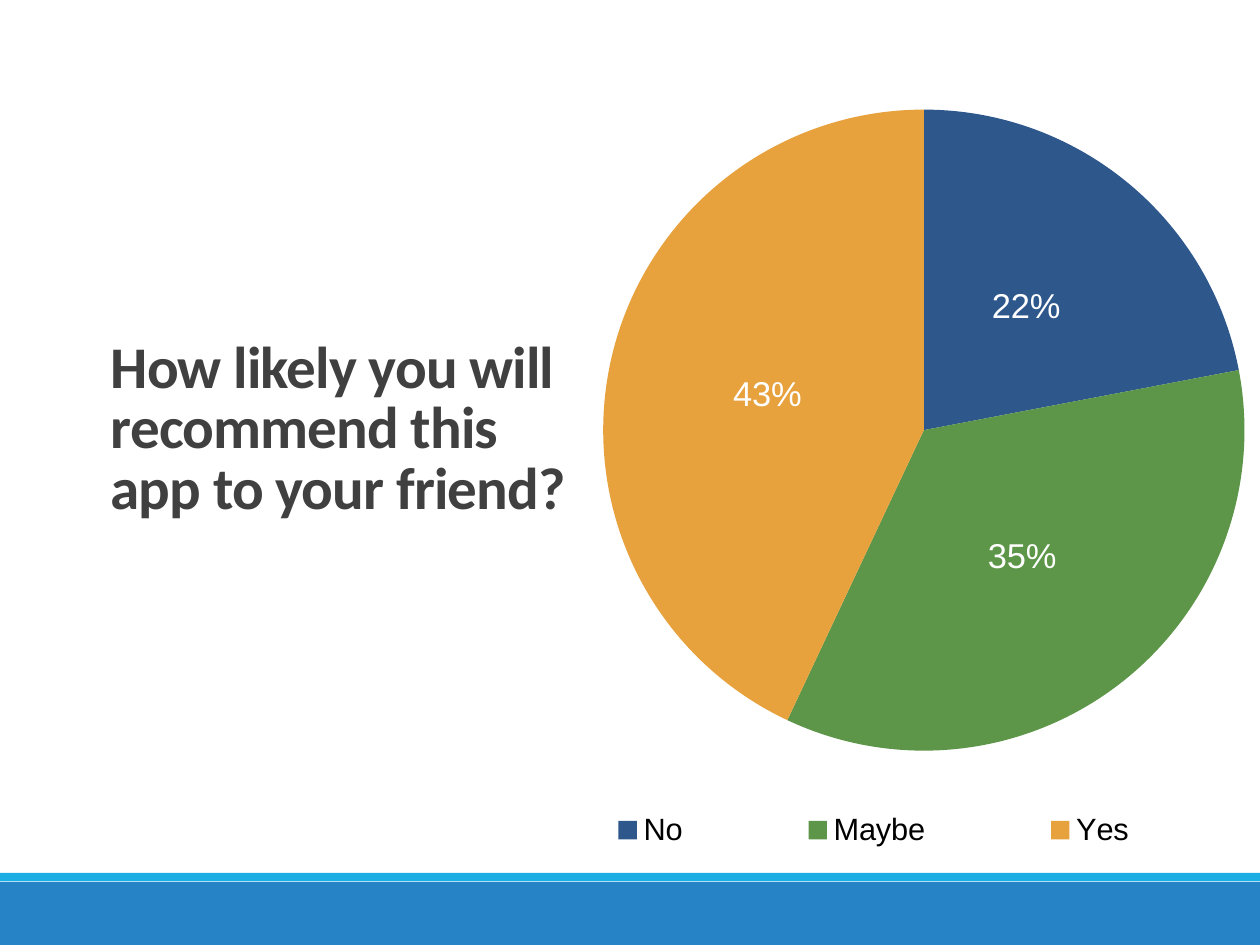
from dataclasses import dataclass

from lxml import etree
from pptx import Presentation
from pptx import util as u
from pptx.chart import data as chart_data
from pptx.dml.color import RGBColor
from pptx.enum import chart as ch
from pptx.enum import shapes, text
from pptx.oxml import ns


@dataclass(frozen=True)
class Theme:
    title: str = "404040"
    legend: str = "000000"
    label: str = "FFFFFF"
    footer: str = "2683C6"
    stripe: str = "1CADE4"
    slices: tuple = ("2E578C", "5D9648", "E7A13D")
    title_font: str = "Calibri"
    chart_font: str = "Arial"
    title_size: int = 48
    label_size: int = 28
    legend_size: int = 25


THEME = Theme()
ANSWERS = {"No": 22, "Maybe": 35, "Yes": 43}


def set_font(font, name, size, color, bold=False):
    font.name, font.size, font.bold = name, u.Pt(size), bold
    font.color.rgb = RGBColor.from_string(color)


def add_band(s, top, width, height, color):
    sp = s.shapes.add_shape(shapes.MSO_SHAPE.RECTANGLE, 0, top, width, height)
    sp.shadow.inherit = False
    sp.fill.solid()
    sp.fill.fore_color.rgb = RGBColor.from_string(color)
    sp.line.fill.background()


def set_title(s, wording):
    sp = s.shapes.title
    sp.left, sp.top, sp.width, sp.height = map(u.Cm, (2.92, 5.82, 13.69, 9.25))
    tf = sp.text_frame
    tf.text = wording
    tf.word_wrap = True
    tf.auto_size = text.MSO_AUTO_SIZE.NONE
    tf.vertical_anchor = text.MSO_ANCHOR.BOTTOM
    p = tf.paragraphs[0]
    p.alignment = text.PP_ALIGN.LEFT
    p.line_spacing = 0.85
    set_font(p.font, THEME.title_font, THEME.title_size, THEME.title, True)
    p.runs[0].font._element.set("spc", "-70")


def set_layout(parent, position, x, y, w, h, inner=False):
    """Place a chart part by fractions of the chart area."""
    for old in parent.findall(ns.qn("c:layout")):
        parent.remove(old)
    layout = etree.Element(ns.qn("c:layout"))
    manual = etree.SubElement(layout, ns.qn("c:manualLayout"))
    values = {"xMode": "edge", "yMode": "edge", "x": x, "y": y, "w": w, "h": h}
    if inner:
        values = {"layoutTarget": "inner", **values}
    for tag, value in values.items():
        etree.SubElement(manual, ns.qn(f"c:{tag}")).set("val", str(value))
    parent.insert(position, layout)


def add_pie(s, answers):
    data = chart_data.CategoryChartData()
    data.categories = list(answers)
    data.add_series("Series 1", answers.values())
    chart = s.shapes.add_chart(
        ch.XL_CHART_TYPE.PIE, *map(u.Cm, (13.97, 3.02, 22.15, 21.54)), data
    ).chart
    chart.has_title = False

    # Slices and percentages
    plot = chart.plots[0]
    plot.vary_by_categories = True
    for i, color in enumerate(THEME.slices):
        fill = plot.series[0].points[i].format.fill
        fill.solid()
        fill.fore_color.rgb = RGBColor.from_string(color)
    plot.has_data_labels = True
    labels = plot.data_labels
    labels.show_percentage, labels.show_value = True, False
    labels.number_format, labels.number_format_is_linked = "#,##0%", False
    labels.position = ch.XL_LABEL_POSITION.CENTER
    set_font(labels.font, THEME.chart_font, THEME.label_size, THEME.label)

    # Legend
    chart.has_legend = True
    legend = chart.legend
    legend.position = ch.XL_LEGEND_POSITION.BOTTOM
    legend.include_in_layout = True
    set_font(legend.font, THEME.chart_font, THEME.legend_size, THEME.legend)
    set_layout(legend._element, 1, 0.02, 0.93, 0.96, 0.07)
    plot_area = chart._chartSpace.chart.plotArea
    set_layout(plot_area, 0, 0.15, 0.005, 0.83, 0.855, inner=True)


def main():
    prs = Presentation()
    prs.slide_width, prs.slide_height = u.Cm(36.12), u.Cm(27.1)
    s = prs.slides.add_slide(prs.slide_layouts[5])

    # Footer bands
    add_band(s, u.Cm(25.3), prs.slide_width, u.Cm(1.8), THEME.footer)
    add_band(s, u.Cm(25.03), prs.slide_width, u.Cm(0.25), THEME.stripe)

    # Question and answers
    add_pie(s, ANSWERS)
    set_title(s, "How likely you will recommend this app to your friend?")
    prs.save("out.pptx")


if __name__ == "__main__":
    main()
